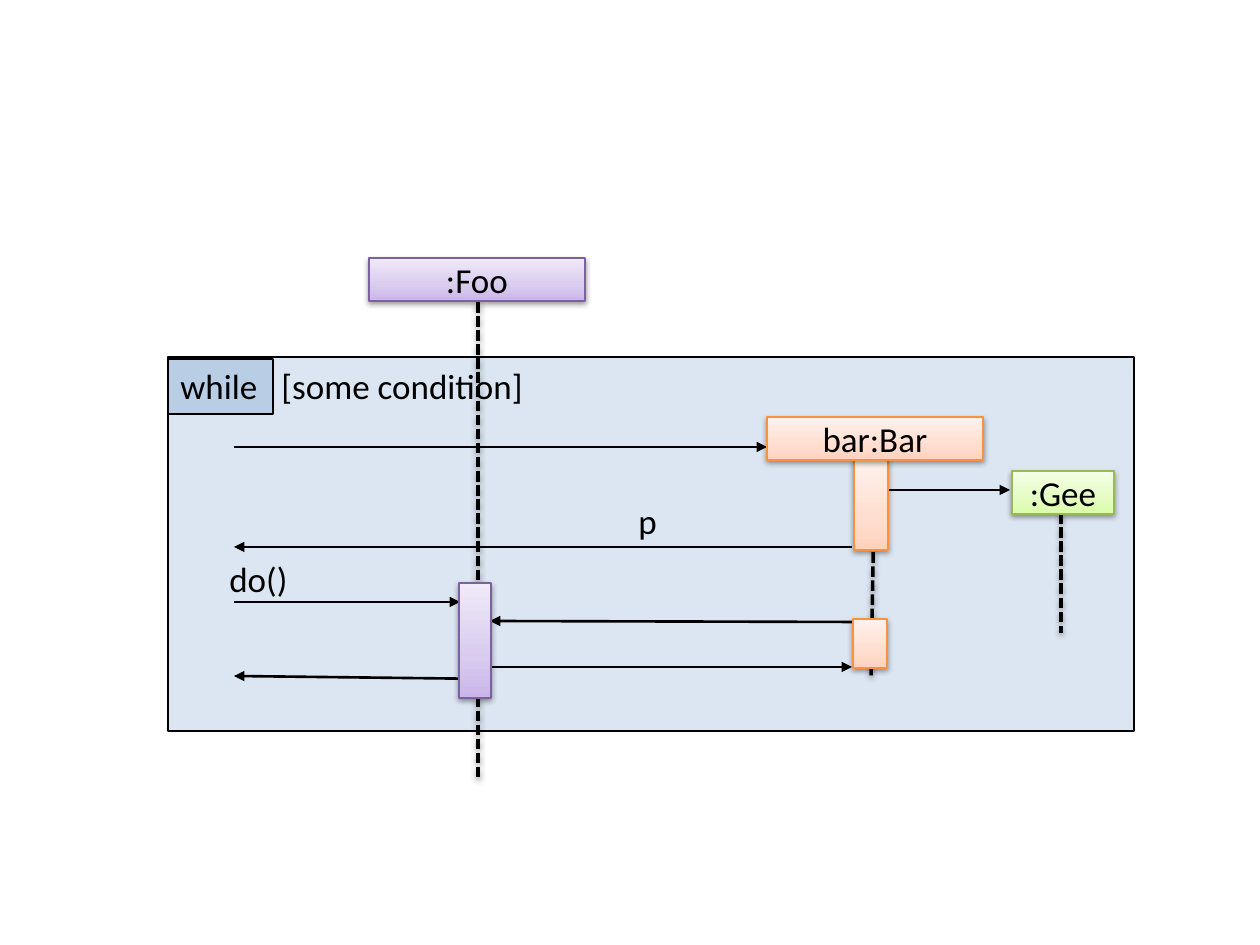
import copy

import pptx
import pptx.dml.color
import pptx.enum.dml
import pptx.enum.shapes
import pptx.enum.text
import pptx.oxml.ns
import pptx.util
from lxml import etree

RGB = pptx.dml.color.RGBColor
qn = pptx.oxml.ns.qn

BLACK = RGB(0x00, 0x00, 0x00)
FRAME_BLUE = RGB(0xDC, 0xE6, 0xF2)
TAG_BLUE = RGB(0xB9, 0xCD, 0xE5)

# Each theme: line colour, then gradient colours from bottom to top
PURPLE = (RGB(0x7D, 0x60, 0xA0),
          (RGB(0xC9, 0xB5, 0xE8), RGB(0xD8, 0xCB, 0xEE), RGB(0xF0, 0xEA, 0xF9)))
ORANGE = (RGB(0xF6, 0x92, 0x40),
          (RGB(0xFF, 0xD2, 0xBD), RGB(0xFF, 0xDE, 0xD0), RGB(0xFF, 0xF2, 0xED)))
GREEN = (RGB(0x98, 0xB9, 0x55),
         (RGB(0xDA, 0xFD, 0xA7), RGB(0xE4, 0xFC, 0xC2), RGB(0xF5, 0xFF, 0xE7)))
GRADIENT_POSITIONS = (0, 0.35, 1)

# Boxes are left, top, width, height; lines are x1, y1, x2, y2
LOOP_FRAME = (168, 357, 966, 374)
LOOP_TAG = (168, 359, 105, 55)
LOOP_TEXT = ("while\t[some condition]", (168, 359, 416, 53))
GUARD_TAB = 101

LIFELINES = [
    (478, 302, 478, 780),
    (874, 510, 871, 679),
    (1061, 513, 1061, 633),
]
MESSAGES = [
    (234, 447, 767, 447),
    (888, 490, 1010, 490),
    (852, 547, 234, 547),
    (234, 602, 460, 602),
    (853, 622, 490, 621),
    (490, 667, 852, 667),
    (490, 679, 234, 676),
]
ACTIVATIONS = [
    ((459, 583, 32, 115), PURPLE),
    ((854, 459, 34, 91), ORANGE),
    ((853, 619, 34, 49), ORANGE),
]
OBJECTS = [
    (":Foo", (369, 258, 216, 43), PURPLE),
    ("bar:Bar", (767, 417, 216, 43), ORANGE),
    (":Gee", (1012, 471, 102, 43), GREEN),
]
MESSAGE_LABELS = [
    ("p", (626, 493, 48, 55)),
    ("do()", (217, 551, 228, 55)),
]


def px(length):
    return round(length * 914400 / 126)


def add_shadow(effects):
    shadow = etree.SubElement(effects, qn("a:outerShdw"), blurRad="40000",
                              dist="20000", dir="5400000", rotWithShape="0")
    colour = etree.SubElement(shadow, qn("a:srgbClr"), val=str(BLACK))
    etree.SubElement(colour, qn("a:alpha"), val="38000")


def add_rect(box, line_colour, line_width, fill_colour=None):
    rect = slide.shapes.add_shape(
        pptx.enum.shapes.MSO_SHAPE.RECTANGLE, *map(px, box))
    rect.shadow.inherit = False
    rect.line.color.rgb = line_colour
    rect.line.width = pptx.util.Pt(line_width)
    if fill_colour is not None:
        rect.fill.solid()
        rect.fill.fore_color.rgb = fill_colour
    return rect


def add_gradient_rect(box, theme):
    line_colour, colours = theme
    rect = add_rect(box, line_colour, 0.75)
    rect.fill.gradient()
    rect.fill.gradient_angle = 90
    properties = rect._element.spPr
    stops = properties.find(".//" + qn("a:gsLst"))
    stops.insert(1, copy.deepcopy(stops[0]))
    for stop, position, colour in zip(
            rect.fill.gradient_stops, GRADIENT_POSITIONS, colours):
        stop.position = position
        stop.color.rgb = colour
    add_shadow(properties.find(qn("a:effectLst")))
    return rect


def add_line(ends, width):
    line = slide.shapes.add_connector(
        pptx.enum.shapes.MSO_CONNECTOR.STRAIGHT, *map(px, ends))
    line.line.color.rgb = BLACK
    line.line.width = pptx.util.Pt(width)
    effects = etree.SubElement(line._element.spPr, qn("a:effectLst"))
    return line, effects


def set_text(shape, text):
    shape.text_frame.text = text
    paragraph = shape.text_frame.paragraphs[0]
    font = paragraph.runs[0].font
    font.name = "Calibri"
    font.size = pptx.util.Pt(20)
    font.color.rgb = BLACK
    return paragraph


def add_label(text, box):
    label = slide.shapes.add_textbox(*map(px, box))
    label.text_frame.word_wrap = True
    return label, set_text(label, text)


presentation = pptx.Presentation()
presentation.slide_width = px(1260)
presentation.slide_height = px(945)
slide = presentation.slides.add_slide(presentation.slide_layouts[6])

# Loop frame
add_rect(LOOP_FRAME, BLACK, 1.5, FRAME_BLUE)

# Dashed lifelines
for ends in LIFELINES:
    lifeline, effects = add_line(ends, 2)
    lifeline.line.dash_style = pptx.enum.dml.MSO_LINE.SQUARE_DOT
    lifeline.line._ln.find(qn("a:prstDash")).set("val", "sysDash")
    add_shadow(effects)

# Message arrows
for ends in MESSAGES:
    message, _ = add_line(ends, 1.5)
    etree.SubElement(message.line._ln, qn("a:tailEnd"), type="triangle")

# Activation bars
for box, theme in ACTIVATIONS:
    add_gradient_rect(box, theme)

# Object heads
for name, box, theme in OBJECTS:
    head = add_gradient_rect(box, theme)
    frame = head.text_frame
    frame.margin_left = frame.margin_right = 0
    frame.margin_top = frame.margin_bottom = 0
    frame.vertical_anchor = pptx.enum.text.MSO_ANCHOR.TOP
    set_text(head, name).alignment = pptx.enum.text.PP_ALIGN.CENTER

# Loop tag with its guard
add_rect(LOOP_TAG, BLACK, 1.5, TAG_BLUE)
loop_label, loop_paragraph = add_label(*LOOP_TEXT)
loop_label.text_frame.vertical_anchor = pptx.enum.text.MSO_ANCHOR.MIDDLE
tabs = etree.SubElement(loop_paragraph._p.get_or_add_pPr(), qn("a:tabLst"))
etree.SubElement(tabs, qn("a:tab"), pos=str(px(GUARD_TAB)), algn="l")

# Message labels
for text, box in MESSAGE_LABELS:
    add_label(text, box)

presentation.save("out.pptx")
